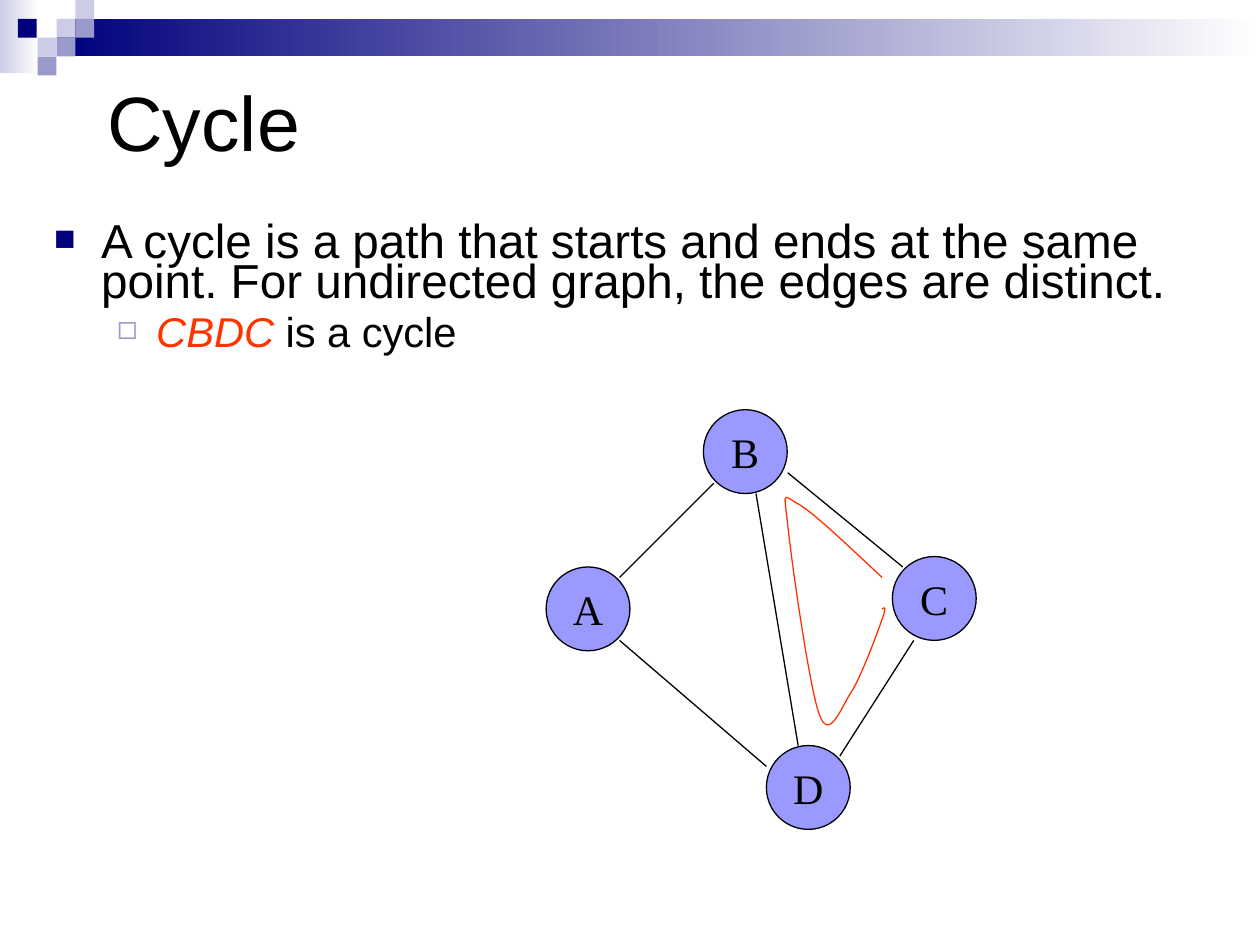
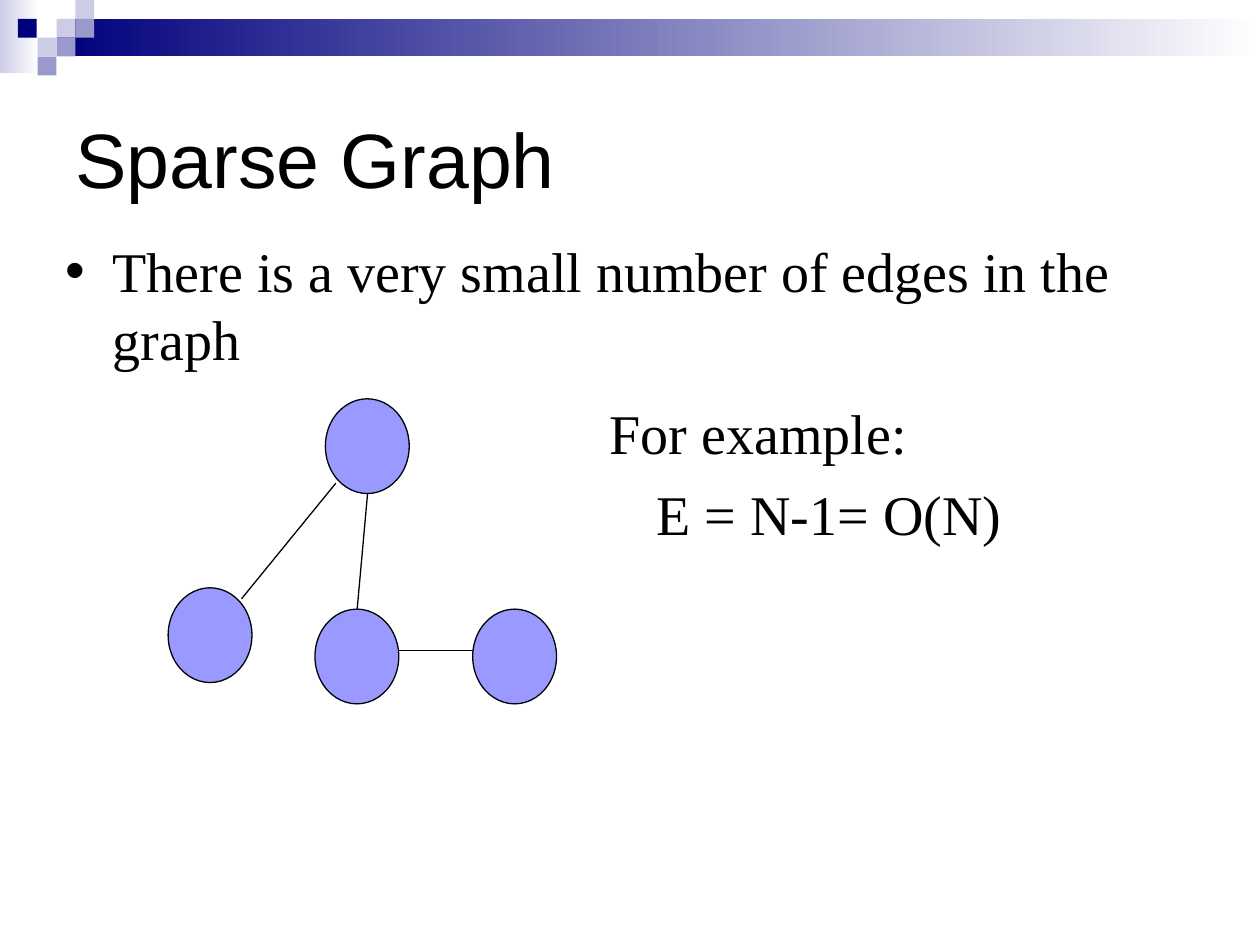
"""Build two slides on graph cycles and sparse graphs."""
from lxml.etree import SubElement
from pptx import Presentation
from pptx.dml.color import RGBColor
from pptx.enum.shapes import MSO_CONNECTOR, MSO_SHAPE
from pptx.enum.text import MSO_ANCHOR, MSO_AUTO_SIZE, PP_ALIGN
from pptx.oxml.ns import qn
from pptx.util import Cm, Pt

SANS, SERIF = "Arial", "Times New Roman"
BLACK, WHITE, RED = "000000", "FFFFFF", "FF3300"
NAVY, MID, PALE, NODE = "00007D", "9999CC", "CCCCE6", "9999FF"
UNIT = 0.38
TILES = [(3, 1, PALE), (4, 0, PALE), (4, 1, MID),
         (2, 2, PALE), (3, 2, MID), (2, 3, MID)]
LOOP_START = (17.78, 11.64)
LOOP = [
    ((17.09, 11), (16.41, 10.34), (16.09, 10.16)),
    ((15.77, 9.98), (15.8, 9.88), (15.88, 10.58)),
    ((15.95, 11.28), (16.31, 13.82), (16.51, 14.39)),
    ((16.71, 14.96), (16.94, 14.3), (17.15, 13.97)),
    ((17.35, 13.67), (17.68, 12.78), (17.78, 12.49)),
    ((17.88, 12.22), (17.83, 12.24), (17.78, 12.28)),
]


def tint(color, code):
    """Set a colour from a hex string."""
    color.rgb = RGBColor.from_string(code)


def stroke(shape, code):
    """Give a shape a thin line."""
    tint(shape.line.color, code)
    shape.line.width = Pt(0.75)


def add_shape(slide, kind, box, fill):
    """Add a plain shape with a solid or blended fill and no line."""
    shape = slide.shapes.add_shape(kind, *map(Cm, box))
    shape.shadow.inherit = False
    shape.line.fill.background()
    if isinstance(fill, str):
        shape.fill.solid()
        tint(shape.fill.fore_color, fill)
    else:
        shape.fill.gradient()
        shape.fill.gradient_angle = 180
        for spot, (stop, code) in enumerate(zip(shape.fill.gradient_stops, fill)):
            stop.position = spot
            tint(stop.color, code)
    return shape


def add_band(slide, layout):
    """Draw the top band and move it to the layout."""
    parts = [((0, 0, 0.79, 1.47), (WHITE, PALE)),
             ((1.14, UNIT, 24.26, 0.76), (WHITE, NAVY))]
    parts += [((col * UNIT, row * UNIT, UNIT, UNIT), code)
              for col, row, code in TILES]
    parts.append(((0.36, UNIT, UNIT, UNIT), NAVY))
    for box, fill in parts:
        shape = add_shape(slide, MSO_SHAPE.RECTANGLE, box, fill)
        layout.shapes.element.append(shape.element)


def add_run(para, text, size, face, code=BLACK, slant=False):
    """Add one formatted run."""
    run = para.add_run()
    run.text = text
    run.font.size, run.font.name, run.font.italic = Pt(size), face, slant
    tint(run.font.color, code)


def add_title(slide, text, box):
    """Place and format the title."""
    title = slide.shapes.title
    title.left, title.top, title.width, title.height = map(Cm, box)
    frame = title.text_frame
    frame.auto_size = MSO_AUTO_SIZE.NONE
    frame.vertical_anchor = MSO_ANCHOR.MIDDLE
    para = frame.paragraphs[0]
    para.alignment = PP_ALIGN.LEFT
    add_run(para, text, 44, SANS)


def add_frame(slide, box):
    """Add a wrapping text box and return its frame."""
    frame = slide.shapes.add_textbox(*map(Cm, box)).text_frame
    frame.word_wrap = True
    return frame


def indent(para, left, first):
    """Set the left margin and first-line offset, and return the properties."""
    props = para._p.get_or_add_pPr()
    props.set("marL", str(Cm(left)))
    props.set("indent", str(Cm(first)))
    return props


def add_bullet(para, left, first, mark, code, scale=100):
    """Give a paragraph a hanging bullet."""
    props = indent(para, left, first)
    color = SubElement(props, qn("a:buClr"))
    SubElement(color, qn("a:srgbClr"), val=code)
    SubElement(props, qn("a:buSzPct"), val=str(scale * 1000))
    SubElement(props, qn("a:buFont"), typeface=SANS)
    SubElement(props, qn("a:buChar"), char=mark)


def add_node(slide, left, top, height, label=""):
    """Add a graph node, with a label if it has one."""
    node = add_shape(slide, MSO_SHAPE.OVAL, (left, top, 1.69, height), NODE)
    stroke(node, BLACK)
    if label:
        frame = node.text_frame
        frame.word_wrap = False
        frame.vertical_anchor = MSO_ANCHOR.MIDDLE
        para = frame.paragraphs[0]
        para.alignment = PP_ALIGN.CENTER
        add_run(para, label, 24, SERIF)


def add_edge(slide, *ends):
    """Add a line between two points."""
    edge = slide.shapes.add_connector(MSO_CONNECTOR.STRAIGHT, *map(Cm, ends))
    stroke(edge, BLACK)
    SubElement(edge.element.spPr, qn("a:effectLst"))


def trace(start, curves, steps=16):
    """Return points along a chain of cubic curves."""
    points = []
    for one, two, end in curves:
        for step in range(1, steps + 1):
            t = step / steps
            u = 1 - t
            points.append(tuple(
                Cm(u**3 * a + 3 * u * u * t * b + 3 * u * t * t * c + t**3 * d)
                for a, b, c, d in zip(start, one, two, end)))
        start = end
    return points


def add_loop(slide):
    """Draw the red path inside the cycle."""
    pen = slide.shapes.build_freeform(*map(Cm, LOOP_START))
    pen.add_line_segments(trace(LOOP_START, LOOP), close=False)
    loop = pen.convert_to_shape()
    loop.shadow.inherit = False
    loop.fill.background()
    stroke(loop, RED)


def fill_cycle(slide):
    """Fill the slide on cycles."""
    add_title(slide, "Cycle", (1.91, 0.84, 21.59, 3.18))
    frame = add_frame(slide, (0.84, 4.45, 23.29, 2.97))
    para = frame.paragraphs[0]
    para.line_spacing = 0.7
    add_bullet(para, 0.95, -0.95, "■", NAVY, 75)
    add_run(para, "A cycle is a path that starts and ends at the same point. "
            "For undirected graph, the edges are distinct.", 27.2, SANS)
    para = frame.add_paragraph()
    para.level = 1
    para.line_spacing = 0.7
    para.space_before = Pt(7)
    add_bullet(para, 2.06, -0.79, "◻", MID, 80)
    add_run(para, "CBDC", 23.8, SANS, RED, True)
    add_run(para, " is a cycle", 23.8, SANS)
    for label, left, top in [("B", 14.18, 8.26), ("C", 17.99, 11.22),
                             ("D", 15.45, 15.03), ("A", 11.01, 11.43)]:
        add_node(slide, left, top, 1.69, label)
    for ends in [(14.39, 9.74, 12.49, 11.64), (12.49, 12.91, 15.45, 15.45),
                 (16.93, 15.24, 18.42, 12.91), (15.24, 9.95, 16.09, 15.03),
                 (15.88, 9.53, 18.2, 11.43)]:
        add_edge(slide, *ends)
    add_loop(slide)


def fill_sparse(slide):
    """Fill the slide on sparse graphs."""
    add_title(slide, "Sparse Graph", (1.27, 1.27, 22.86, 3.81))
    frame = add_frame(slide, (12.04, 7.9, 10.31, 3.78))
    para = frame.paragraphs[0]
    indent(para, 0.95, -0.95)
    add_run(para, "For example:", 32, SERIF)
    para = frame.add_paragraph()
    para.space_before = Pt(8)
    indent(para, 0.95, 0)
    add_run(para, "E = N-1= O(N)", 32, SERIF)
    for left, top in [(6.56, 8.04), (6.35, 12.28), (3.39, 11.85), (9.53, 12.28)]:
        add_node(slide, left, top, 1.91)
    for ends in [(6.77, 9.74, 4.87, 12.07), (7.41, 9.95, 7.2, 12.28),
                 (8.04, 13.12, 9.53, 13.12)]:
        add_edge(slide, *ends)
    para = add_frame(slide, (1.07, 4.65, 23.29, 2.34)).paragraphs[0]
    add_bullet(para, 0.95, -0.95, "•", BLACK)
    add_run(para, "There is a very small number of edges in the graph", 32, SERIF)


def main():
    """Build and save the deck."""
    deck = Presentation()
    deck.slide_width, deck.slide_height = Cm(25.4), Cm(19.05)
    layout = deck.slide_layouts.get_by_name("Title Only")
    cycle, sparse = (deck.slides.add_slide(layout) for _ in range(2))
    add_band(cycle, layout)
    fill_cycle(cycle)
    fill_sparse(sparse)
    deck.save("out.pptx")


if __name__ == "__main__":
    main()
